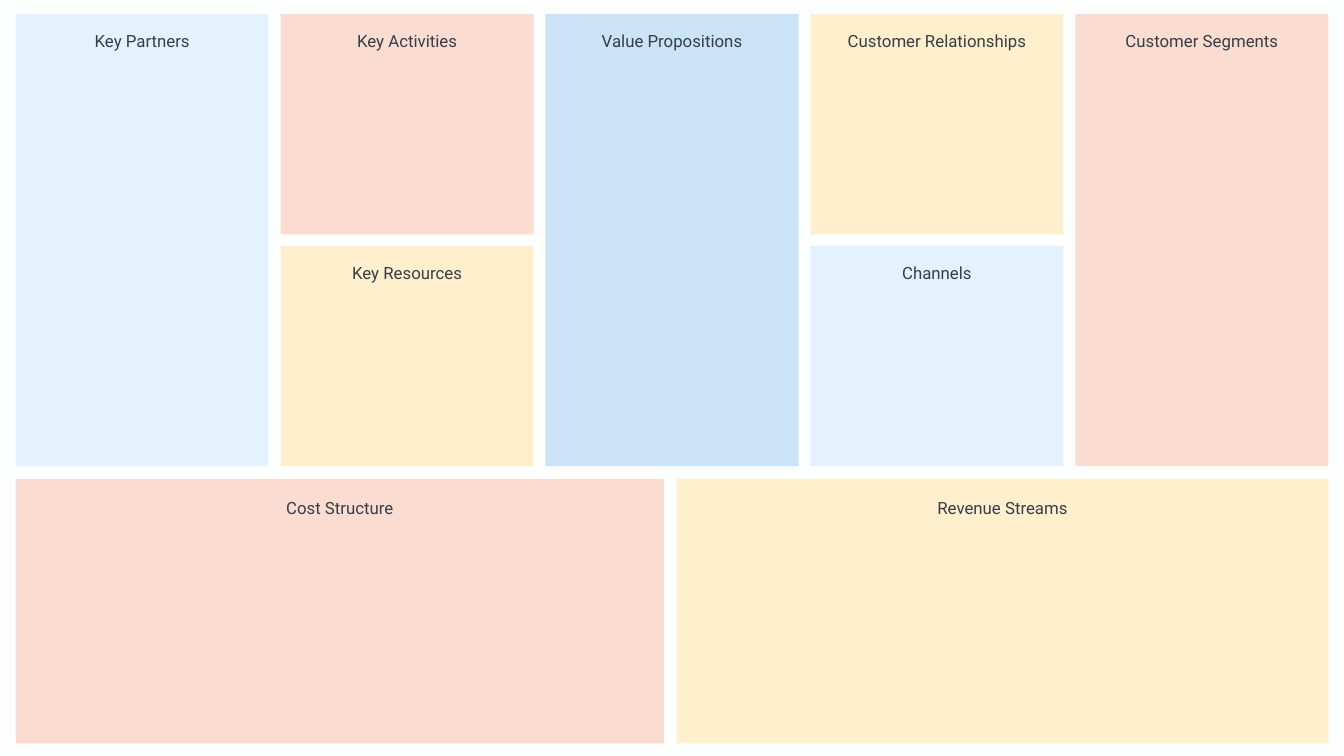
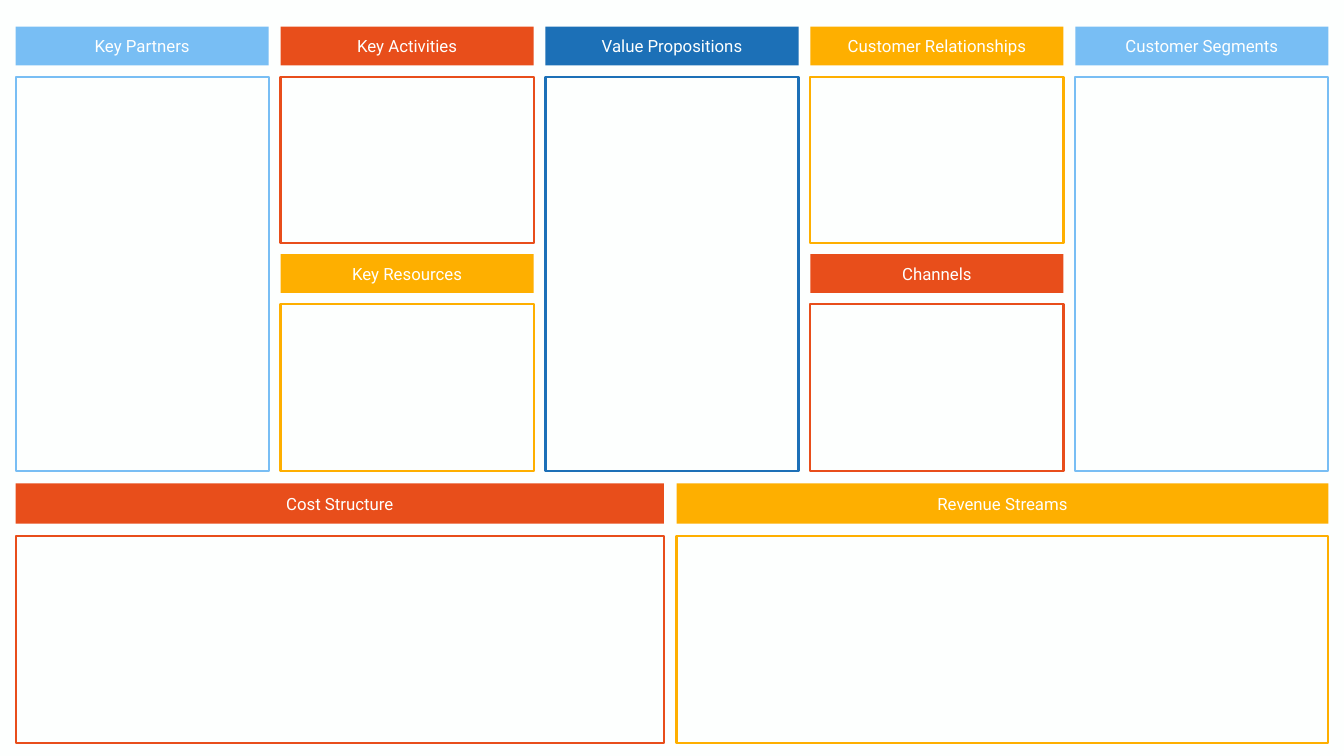
from pptx import Presentation
from pptx.dml.color import RGBColor
from pptx.enum.shapes import MSO_SHAPE
from pptx.enum.text import MSO_ANCHOR, MSO_AUTO_SIZE, PP_ALIGN
from pptx.util import Inches, Pt

RECT = MSO_SHAPE.RECTANGLE
ROUND = MSO_SHAPE.ROUNDED_RECTANGLE
CENTER = PP_ALIGN.CENTER
TOP = MSO_ANCHOR.TOP
GROW = MSO_AUTO_SIZE.SHAPE_TO_FIT_TEXT

PAPER = RGBColor(0xFD, 0xFF, 0xFE)
INK = RGBColor(0x35, 0x3E, 0x49)
WHITE = RGBColor(0xFE, 0xFF, 0xFE)
PALE_SKY = RGBColor(0xE4, 0xF2, 0xFD)
PALE_BLUE = RGBColor(0xCB, 0xE3, 0xF7)
PALE_RED = RGBColor(0xFA, 0xDC, 0xD1)
PALE_GOLD = RGBColor(0xFF, 0xEF, 0xCC)
SKY = RGBColor(0x78, 0xBE, 0xF4)
BLUE = RGBColor(0x1C, 0x70, 0xB7)
RED = RGBColor(0xE8, 0x4E, 0x1B)
GOLD = RGBColor(0xFE, 0xAF, 0x00)

FONT = "Roboto"
LEFT, COL, GAP = 0.31, 5.02, 0.235
LABEL = 0.5

# Left and width of each place across the slide
SPANS = {i: (LEFT + i * (COL + GAP), COL) for i in range(5)}
SPANS["half 1"] = (LEFT, 12.86)
SPANS["half 2"] = (13.42, 12.93)

# Name, span, row, label width, tint, strong colour
BLOCKS = [
    ("Key Partners", 0, "full", 2.72, PALE_SKY, SKY),
    ("Key Activities", 1, "upper", 2.99, PALE_RED, RED),
    ("Key Resources", 1, "lower", 3.24, PALE_GOLD, GOLD),
    ("Value Propositions", 2, "full", 3.93, PALE_BLUE, BLUE),
    ("Customer Relationships", 3, "upper", 4.75, PALE_GOLD, GOLD),
    ("Channels", 3, "lower", 2.72, PALE_SKY, RED),
    ("Customer Segments", 4, "full", 4.73, PALE_RED, SKY),
    ("Cost Structure", "half 1", "base", 3.87, PALE_RED, RED),
    ("Revenue Streams", "half 2", "base", 3.85, PALE_GOLD, GOLD),
]

# Top, height, label top
TINT_ROWS = {
    "full": (0.28, 8.97, 0.56),
    "upper": (0.28, 4.37, 0.56),
    "lower": (4.88, 4.37, 5.16),
    "base": (9.5, 5.25, 9.82),
}

# Bar top, bar height, frame top, frame height
FRAME_ROWS = {
    "full": (0.53, 0.77, 1.52, 7.83),
    "upper": (0.53, 0.77, 1.52, 3.31),
    "lower": (5.04, 0.77, 6.03, 3.31),
    "base": (9.59, 0.8, 10.63, 4.12),
}


def add_box(slide, kind, span, top, height, fill=None, line=None):
    left, width = SPANS[span]
    box = slide.shapes.add_shape(
        kind, Inches(left), Inches(top), Inches(width), Inches(height))
    box.shadow.inherit = False
    if kind == ROUND:
        box.adjustments[0] = 0
    if fill is None:
        box.fill.background()
    else:
        box.fill.solid()
        box.fill.fore_color.rgb = fill
    if line is None:
        box.line.fill.background()
    else:
        box.line.color.rgb = line
        box.line.width = Pt(3)


def add_label(slide, name, span, top, width, color):
    """Centre a block's name across its span."""
    left, room = SPANS[span]
    box = slide.shapes.add_textbox(
        Inches(left + (room - width) / 2), Inches(top),
        Inches(width), Inches(LABEL))
    frame = box.text_frame
    frame.word_wrap = True
    frame.auto_size = GROW
    frame.vertical_anchor = TOP
    para = frame.paragraphs[0]
    para.text = name
    para.alignment = CENTER
    para.font.name = FONT
    para.font.size = Pt(24)
    para.font.color.rgb = color


def add_slide(deck):
    slide = deck.slides.add_slide(deck.slide_layouts[6])
    slide.background.fill.solid()
    slide.background.fill.fore_color.rgb = PAPER
    return slide


def draw_tints(slide):
    for _, span, row, _, tint, _ in BLOCKS:
        top, height, _ = TINT_ROWS[row]
        add_box(slide, ROUND, span, top, height, fill=tint)
    for name, span, row, width, _, _ in BLOCKS:
        add_label(slide, name, span, TINT_ROWS[row][2], width, INK)


def draw_frames(slide):
    for _, span, row, _, _, color in BLOCKS:
        _, _, top, height = FRAME_ROWS[row]
        add_box(slide, ROUND, span, top, height, line=color)
    for _, span, row, _, _, color in BLOCKS:
        top, height, _, _ = FRAME_ROWS[row]
        add_box(slide, RECT, span, top, height, fill=color)
    for name, span, row, width, _, _ in BLOCKS:
        top, height, _, _ = FRAME_ROWS[row]
        add_label(slide, name, span, top + (height - LABEL) / 2, width, WHITE)


def main():
    deck = Presentation()
    deck.slide_width = Inches(26.66)
    deck.slide_height = Inches(15)
    draw_tints(add_slide(deck))
    draw_frames(add_slide(deck))
    deck.save("out.pptx")


if __name__ == "__main__":
    main()
